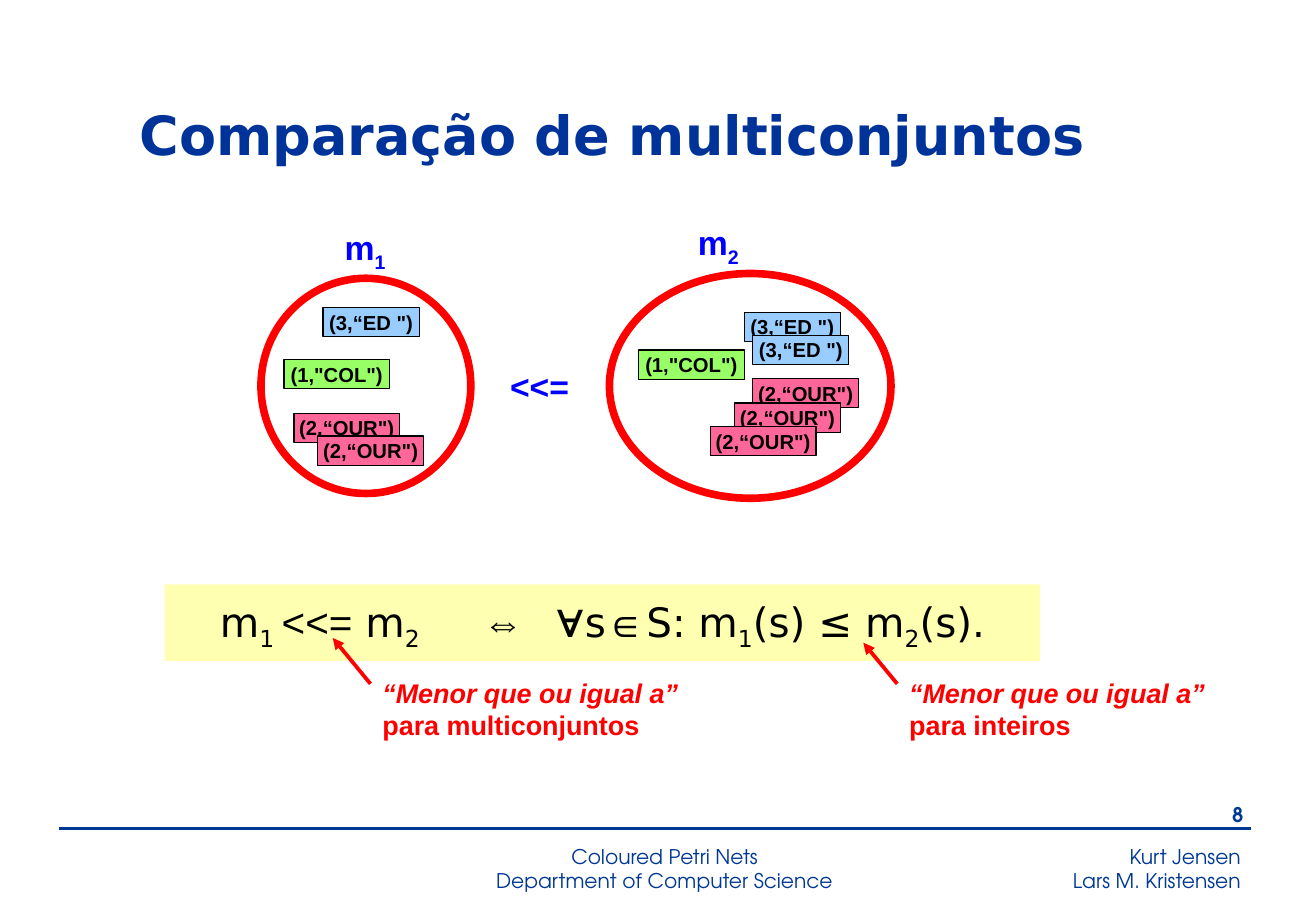
from lxml.etree import SubElement
from pptx import Presentation
from pptx.dml.color import RGBColor
from pptx.enum.shapes import MSO_CONNECTOR, MSO_SHAPE
from pptx.enum.text import MSO_ANCHOR, PP_ALIGN as Align
from pptx.oxml.ns import qn
from pptx.util import Cm, Pt

# Colours and fonts
NAVY, FOOTER_BLUE = RGBColor(0x00, 0x33, 0x99), RGBColor(0x00, 0x38, 0x93)
BLUE, RED = RGBColor(0x00, 0x00, 0xFF), RGBColor(0xFF, 0x00, 0x00)
BLACK, YELLOW = RGBColor(0x00, 0x00, 0x00), RGBColor(0xFF, 0xFF, 0x66)
GREEN, PINK = RGBColor(0x99, 0xFF, 0x66), RGBColor(0xFF, 0x66, 0x99)
SKY = RGBColor(0x99, 0xCC, 0xFF)
SANS, DEJAVU, ADVENTOR = "Arial", "DejaVu Sans", "TeX Gyre Adventor"

# Content (positions and sizes in cm)
TITLE = "Comparação de multiconjuntos"
TOKEN_KINDS = {  # text, colour, width
    "ED": ('(3,“ED ")', SKY, 2.01),
    "COL": ('(1,"COL")', GREEN, 2.21),
    "OUR": ('(2,“OUR")', PINK, 2.21),
}
TOKEN_HEIGHT = 0.61
MULTISETS = [  # subscript, label position, ellipse box, tokens
    ("1", (6.96, 4.62), (5.46, 5.82, 4.39, 4.5),
     [("ED", 6.76, 6.43), ("COL", 5.94, 7.52),
      ("OUR", 6.15, 8.64), ("OUR", 6.65, 9.12)]),
    ("2", (14.35, 4.52), (12.75, 5.72, 5.89, 4.7),
     [("ED", 15.57, 6.53), ("ED", 15.75, 7.01), ("COL", 13.36, 7.32),
      ("OUR", 15.75, 7.92), ("OUR", 15.37, 8.43), ("OUR", 14.86, 8.92)]),
]
FORMULA = [  # text, font, size, subscript
    ("m", DEJAVU, 24, False), ("1 ", DEJAVU, 24, True),
    ("<<=", SANS, 24, False), (" m", DEJAVU, 24, False),
    ("2", DEJAVU, 24, True), ("\t⇔\t", SANS, 24, False),
    ("∀", SANS, 28, False), ("s", DEJAVU, 24, False),
    ("∈", SANS, 24, False), ("S: m", DEJAVU, 24, False),
    ("1", DEJAVU, 24, True), ("(s) ≤ m", DEJAVU, 24, False),
    ("2", DEJAVU, 24, True), ("(s).", DEJAVU, 24, False),
]
FORMULA_TABS = (5.5, 7.05)
NOTE_TOP, ARROW_START = 14.02, 14.3
NOTES = [  # left, arrow tip, second line
    (7.75, (6.96, 13.34), "para multiconjuntos"),
    (18.77, (18.06, 13.44), "para inteiros"),
]
FOOTERS = [  # box, lines, alignment, bold
    ((8.66, 17.53, 10.49, 1.19),
     ["Coloured Petri Nets", "Department of Computer Science"], Align.CENTER, False),
    ((17.65, 17.53, 8.56, 1.27),
     ["Kurt Jensen", "Lars M. Kristensen"], Align.RIGHT, False),
    ((24.46, 16.66, 1.8, 0.84), ["8"], Align.RIGHT, True),
]

presentation = Presentation()
presentation.slide_width, presentation.slide_height = Cm(27.53), Cm(19.05)
slide = presentation.slides.add_slide(presentation.slide_layouts[5])
shapes = slide.shapes


def style(item, font_name, size, color, bold=False):
    font = item.font
    font.name, font.size, font.bold = font_name, Pt(size), bold
    font.color.rgb = color


def lower(run):
    run._r.get_or_add_rPr().set("baseline", "-25000")


def add_text(box, lines, font_name, size, color, bold=False, align=Align.LEFT):
    frame = shapes.add_textbox(*map(Cm, box)).text_frame
    frame.word_wrap = True
    frame.text = "\n".join(lines)
    for paragraph in frame.paragraphs:
        paragraph.alignment = align
        for run in paragraph.runs:
            style(run, font_name, size, color, bold)
    return frame


def add_preset(kind, box, fill=None, line=None, width=0):
    shape = shapes.add_shape(kind, *map(Cm, box))
    shape.shadow.inherit = False
    if fill is None:
        shape.fill.background()
    else:
        shape.fill.solid()
        shape.fill.fore_color.rgb = fill
    if line is None:
        shape.line.fill.background()
    else:
        shape.line.color.rgb = line
        shape.line.width = Pt(width)
    return shape


def add_line(start, end, color, width, arrow=False):
    connector = shapes.add_connector(MSO_CONNECTOR.STRAIGHT, *map(Cm, start + end))
    connector.line.color.rgb = color
    connector.line.width = Pt(width)
    if arrow:
        SubElement(connector.line._get_or_add_ln(), qn("a:tailEnd"), type="triangle")
    SubElement(connector._element.spPr, qn("a:effectLst"))


# Title
title = shapes.title
title.left, title.top, title.width, title.height = map(Cm, (2.67, 1.93, 21.11, 1.75))
title.text_frame.text = TITLE
title.text_frame.vertical_anchor = MSO_ANCHOR.MIDDLE
title_paragraph = title.text_frame.paragraphs[0]
title_paragraph.alignment = Align.LEFT
style(title_paragraph.runs[0], DEJAVU, 32, NAVY, True)

# Multisets with their tokens
for subscript, label_position, ellipse_box, tokens in MULTISETS:
    for kind, left, top in tokens:
        text, fill, width = TOKEN_KINDS[kind]
        token = add_preset(MSO_SHAPE.RECTANGLE, (left, top, width, TOKEN_HEIGHT),
                           fill, BLACK, 0.75)
        frame = token.text_frame
        frame.word_wrap = False
        frame.vertical_anchor = MSO_ANCHOR.MIDDLE
        frame.text = text
        frame.paragraphs[0].alignment = Align.CENTER
        style(frame.paragraphs[0].runs[0], SANS, 12, BLACK, True)
    add_preset(MSO_SHAPE.OVAL, ellipse_box, line=RED, width=4.5)
    label = add_text(label_position + (1.6, 1.19), ["m"], SANS, 20, BLUE, True)
    run = label.paragraphs[0].add_run()
    run.text = subscript
    style(run, SANS, 20, BLUE, True)
    lower(run)
add_text((10.42, 7.52, 2.18, 1.19), ["<<="], SANS, 20, BLUE, True)

# Formula band
band = add_preset(MSO_SHAPE.RECTANGLE, (3.45, 12.22, 18.31, 1.6), YELLOW)
color_element = band._element.spPr.find(qn("a:solidFill"))[0]
SubElement(color_element, qn("a:alpha"), val="50000")
frame = band.text_frame
frame.vertical_anchor = MSO_ANCHOR.TOP
frame.margin_left = Cm(1.15)
paragraph = frame.paragraphs[0]
paragraph.alignment = Align.LEFT
tab_list = SubElement(paragraph._p.get_or_add_pPr(), qn("a:tabLst"))
for position in FORMULA_TABS:
    SubElement(tab_list, qn("a:tab"), pos=str(Cm(position)), algn="l")
for text, font_name, size, is_subscript in FORMULA:
    run = paragraph.add_run()
    run.text = text
    style(run, font_name, size, BLACK)
    if is_subscript:
        lower(run)

# Notes with arrows
for left, tip, second_line in NOTES:
    add_line((left, ARROW_START), tip, RED, 2.25, arrow=True)
    note = add_text((left, NOTE_TOP, 7.01, 1.63),
                    ["“Menor que ou igual a”", second_line], SANS, 16, RED, True)
    note.paragraphs[0].runs[0].font.italic = True

# Footer
add_line((1.24, 17.32), (26.16, 17.32), FOOTER_BLUE, 1.5)
for box, lines, align, bold in FOOTERS:
    add_text(box, lines, ADVENTOR, 12, FOOTER_BLUE, bold, align)

presentation.save("out.pptx")
